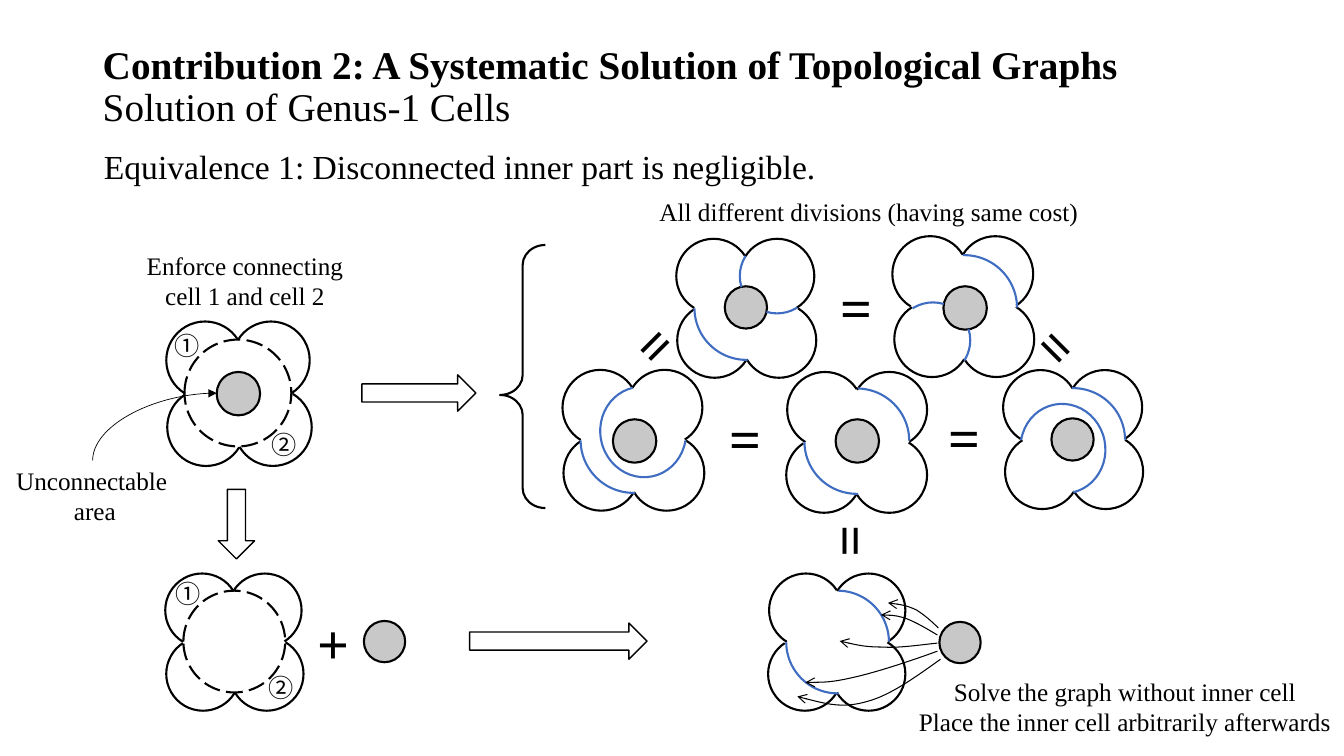
from lxml.etree import SubElement
from pptx import Presentation
from pptx.dml.color import RGBColor
from pptx.enum.dml import MSO_LINE
from pptx.enum.shapes import MSO_CONNECTOR, MSO_SHAPE
from pptx.enum.text import MSO_ANCHOR, MSO_AUTO_SIZE, PP_ALIGN
from pptx.oxml.ns import qn
from pptx.util import Pt

COLORS = {"ink": "000000", "core": "C8C8C8", "division": "3F6DC1"}
SERIF = "Times New Roman"
CIRCLED = "Noto Sans CJK SC"
NUDGE = 0.7

LOWER_LEFT = (53.11, 107.74)
UPPER_RIGHT = (162.64, 215.75)
SPIRAL = (67.73, 214.9)
PETAL_BOTTOM = (34.38, 63.99)
PETAL_LEFT = (97.57, 127.58)

CELLS = [
    (118.8, 229.7, 55.4, NUDGE, 0),
    (118.1, 409.7, 52.6, NUDGE, 0),
    (549.4, 409.7, 52.6, -NUDGE, 0),
    (401.8, 264.2, 54, NUDGE, 0),
    (483.1, 170.6, 53.3, NUDGE, 0),
    (562.3, 265.7, 54, -NUDGE, 0),
    (684.7, 215.3, 54, NUDGE, 180),
    (763.2, 310.3, 53.3, NUDGE, 180),
]
CORES = [
    (154.8, 265.7, 31), (259.9, 443.5, 29.5), (671, 444.2, 29.5), (437.8, 299.5, 31),
    (517.7, 204.5, 30.2), (596.9, 299.5, 31), (673.9, 204.5, 31), (751, 298.8, 30.2),
]
DASHED_RINGS = [(131.8, 242.6, 76.3), (131, 421.9, 72.7)]
DIVISIONS = [
    ((561.6, 421.9, 73.4, 73.4), LOWER_LEFT, 0),
    ((561.6, 421.9, 73.4, 73.4), UPPER_RIGHT, 0),
    ((427, 277.9, 64.8, 61.2), SPIRAL, 258.5),
    ((414.7, 276.5, 75.6, 75.6), LOWER_LEFT, 0),
    ((496.1, 182.9, 74.2, 74.2), LOWER_LEFT, 0),
    ((528.5, 170.6, 53.3, 53.3), PETAL_BOTTOM, 0),
    ((528.5, 170.6, 53.3, 53.3), PETAL_LEFT, 0),
    ((574.6, 277.9, 74.9, 74.9), LOWER_LEFT, 0),
    ((574.6, 277.5, 74.9, 74.9), UPPER_RIGHT, 0),
    ((650.9, 182.2, 75.6, 75.6), LOWER_LEFT, 180),
    ((639.4, 216, 54, 54), PETAL_BOTTOM, 180),
    ((639, 216, 54, 54), PETAL_LEFT, 180),
    ((727.2, 290.2, 64.1, 60.5), SPIRAL, 78.5),
    ((729.4, 277.2, 74.2, 74.2), LOWER_LEFT, 180),
]
PLACEMENTS = [
    [(670.3, 448.6), (665.3, 443.5), (660.2, 439.2), (654.5, 435.6),
     (648, 432.7), (641.5, 431.3), (634.3, 430.6)],
    [(669.6, 459.4), (655.9, 460.8), (642.2, 463), (630, 462.2),
     (618.5, 462.2), (609.1, 460.1), (599.8, 457.9)],
    [(671.8, 470.9), (653.8, 483.8), (635.8, 496.8), (619.2, 501.1),
     (601.9, 506.2), (586.1, 501.8), (569.5, 497.5)],
    [(669.6, 465.1), (648, 473), (625.7, 480.2), (609.8, 483.8),
     (594, 487.4), (584.6, 487.4), (575.3, 487.4)],
    [(669.6, 453.6), (662.4, 449.3), (655.2, 445), (648, 442.1),
     (641.5, 439.9), (635.8, 439.2), (629.3, 439.2)],
]
BLOCK_ARROWS = [
    ((144, 361.4, 49.7, 25.9), 90),
    ((258.5, 267.8, 81.4, 25.9), 0),
    ((335.5, 445, 126.7, 25.9), 0),
]
SIGNS = [
    ("+", (219.6, 431.3, 32.4, 55.4), 0),
    ("=", (466.6, 230.4, 25.2, 40.3), 135),
    ("=", (743, 221, 33.8, 40.3), 45),
    ("=", (514.1, 284.4, 25.2, 40.3), 0),
    ("=", (670.3, 283.7, 25.2, 40.3), 0),
    ("=", (593.3, 190.8, 36, 55.4), 0),
    ("=", (592.6, 357.8, 34.6, 55.4), 90),
]
NUMBERS = [
    ("①", (118.1, 409.7, 36, 28.8)), ("②", (185, 476.6, 34.6, 28.8)),
    ("①", (117.4, 232.6, 36, 28.8)), ("②", (187.2, 303.1, 34.6, 28.8)),
]
CAPTIONS = [
    (["Enforce connecting", "cell 1 and cell 2"], (85, 175, 180, 51.1), True),
    (["Unconnectable", " area"], (3.6, 329, 123.8, 51.1), False),
    (["All different divisions (having same cost)"], (463.7, 136.8, 313.9, 28.8), True),
    (["Solve the graph without inner cell", "Place the inner cell arbitrarily afterwards"],
     (643, 479.5, 321.1, 51.1), True),
]


def color(name):
    return RGBColor.from_string(COLORS[name])


def apply_format(target, values):
    for name, value in values.items():
        setattr(target, name, value)


def points(box):
    return [Pt(value) for value in box]


def style_outline(shape, name, width, end=None):
    shape.line.color.rgb = color(name)
    shape.line.width = Pt(width)
    if end:
        SubElement(shape._element.spPr.find(qn("a:ln")), qn("a:tailEnd"), type=end)


def add_outline(slide, kind, box, adjustments=(), turn=0, name="ink", width=1.5, fill=None):
    shape = slide.shapes.add_shape(kind, *points(box))
    shape.shadow.inherit = False
    shape.rotation = turn
    for index, value in enumerate(adjustments):
        shape.adjustments[index] = value
    if fill:
        shape.fill.solid()
        shape.fill.fore_color.rgb = color(fill)
    else:
        shape.fill.background()
    style_outline(shape, name, width)
    return shape


def add_cell(slide, left, top, size, lean, turn):
    step = 0.85 * size
    sign = -1 if turn else 1
    petals = [
        (step, 0, (127.02, 34.56)),
        (0, 0, (72.78, 196.09)),
        (lean, step + NUDGE, (18.8, 141.99)),
        (step + lean + NUDGE, step + NUDGE, (180.56, 89.68)),
    ]
    for across, down, span in petals:
        box = (left + sign * across, top + sign * down, size, size)
        add_outline(slide, MSO_SHAPE.ARC, box, span, turn)


def add_curved_arrow(slide, nodes):
    start, *rest = [points(node) for node in nodes]
    builder = slide.shapes.build_freeform(*start, scale=1.0)
    builder.add_line_segments(rest, close=False)
    shape = builder.convert_to_shape()
    outline = next(shape._element.iter(qn("a:path")))
    segments = outline.findall(qn("a:lnTo"))
    for first in range(0, len(segments), 3):
        curve = SubElement(outline, qn("a:cubicBezTo"))
        for segment in segments[first:first + 3]:
            curve.append(segment[0])
            outline.remove(segment)
    shape.shadow.inherit = False
    shape.fill.background()
    style_outline(shape, "ink", 0.75, "arrow")


def add_pointer(slide):
    connector = slide.shapes.add_connector(
        MSO_CONNECTOR.CURVE, *points((134.6, 349.2, 86.4, 260.6)))
    properties = connector._element.spPr
    properties.find(qn("a:xfrm")).set("rot", "5400000")
    properties.find(qn("a:prstGeom")).set("prst", "curvedConnector2")
    style_outline(connector, "ink", 0.5, "triangle")
    SubElement(properties, qn("a:effectLst"))


def add_run(paragraph, text, size, bold=False, face=SERIF):
    run = paragraph.add_run()
    run.text = text
    apply_format(run.font, {"name": face, "size": Pt(size), "bold": bold})
    run.font.color.rgb = color("ink")
    SubElement(run.font._element, qn("a:ea"), typeface=face)


def add_label(slide, lines, box, size=18, bold=False, face=SERIF, turn=0,
              align=PP_ALIGN.LEFT, wrap=True):
    shape = slide.shapes.add_textbox(*points(box))
    shape.rotation = turn
    frame = shape.text_frame
    apply_format(frame, {"word_wrap": wrap, "auto_size": MSO_AUTO_SIZE.SHAPE_TO_FIT_TEXT})
    for index, line in enumerate(lines):
        paragraph = frame.add_paragraph() if index else frame.paragraphs[0]
        paragraph.alignment = align
        add_run(paragraph, line, size, bold, face)


def fill_placeholder(shape, box, runs, size):
    apply_format(shape, dict(zip(("left", "top", "width", "height"), points(box))))
    apply_format(shape.text_frame, {"word_wrap": True, "auto_size": MSO_AUTO_SIZE.NONE,
                                    "vertical_anchor": MSO_ANCHOR.TOP})
    paragraph = shape.text_frame.paragraphs[0]
    apply_format(paragraph, {"alignment": PP_ALIGN.LEFT, "line_spacing": 0.9,
                             "space_before": Pt(0)})
    properties = paragraph._p.get_or_add_pPr()
    apply_attributes = {"marL": "0", "indent": "0"}
    for name, value in apply_attributes.items():
        properties.set(name, value)
    SubElement(properties, qn("a:buNone"))
    for text, bold in runs:
        add_run(paragraph, text, size, bold)


def main():
    presentation = Presentation()
    apply_format(presentation, {"slide_width": Pt(960), "slide_height": Pt(540)})
    slide = presentation.slides.add_slide(presentation.slide_layouts[1])
    fill_placeholder(slide.shapes.title, (66.2, 28.8, 828, 80.6), [
        ("Contribution 2: A Systematic Solution of Topological Graphs ", True),
        ("Solution of Genus-1 Cells", False)], 28)
    fill_placeholder(slide.placeholders[1], (67, 103.7, 751.7, 48.2), [
        ("Equivalence 1: Disconnected inner part is negligible.", False)], 24)
    for left, top, size in DASHED_RINGS:
        ring = add_outline(slide, MSO_SHAPE.OVAL, (left, top, size, size))
        ring.line.dash_style = MSO_LINE.LONG_DASH
    for left, top, size in CORES:
        add_outline(slide, MSO_SHAPE.OVAL, (left, top, size, size), fill="core")
    for cell in CELLS:
        add_cell(slide, *cell)
    for box, span, turn in DIVISIONS:
        add_outline(slide, MSO_SHAPE.ARC, box, span, turn, "division")
    for nodes in PLACEMENTS:
        add_curved_arrow(slide, nodes)
    for box, turn in BLOCK_ARROWS:
        add_outline(slide, MSO_SHAPE.RIGHT_ARROW, box, turn=turn, width=1)
    add_outline(slide, MSO_SHAPE.RIGHT_BRACE, (357.1, 175, 32.4, 187.9), (0.44, 0.43), 180)
    add_pointer(slide)
    for sign, box, turn in SIGNS:
        add_label(slide, [sign], box, 40, True, turn=turn)
    for number, box in NUMBERS:
        add_label(slide, [number], box, face=CIRCLED)
    for lines, box, wrap in CAPTIONS:
        add_label(slide, lines, box, align=PP_ALIGN.CENTER, wrap=wrap)
    presentation.save("out.pptx")


if __name__ == "__main__":
    main()
